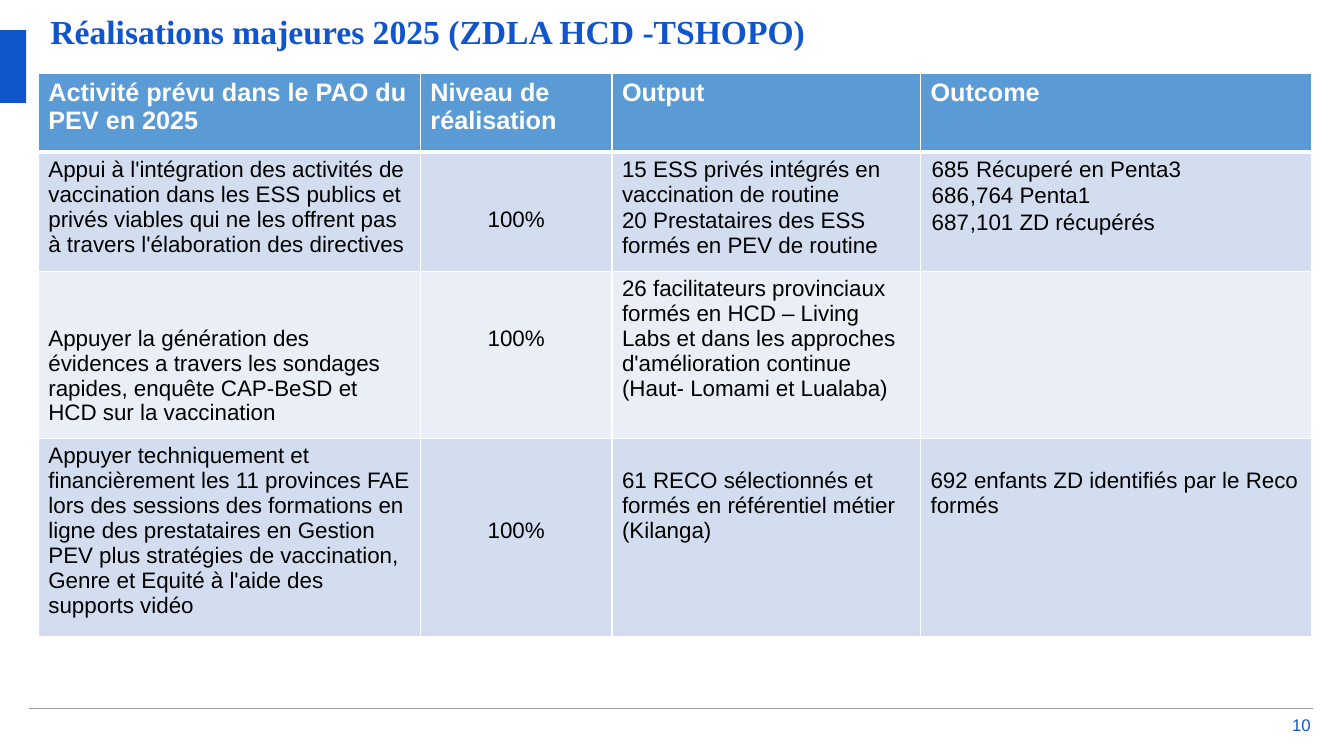
from lxml.etree import SubElement
from pptx import Presentation
from pptx.dml.color import RGBColor
from pptx.enum.shapes import MSO_CONNECTOR as Connector, MSO_SHAPE as Shape
from pptx.enum.text import MSO_ANCHOR as Anchor, MSO_AUTO_SIZE as AutoSize, PP_ALIGN as Align
from pptx.oxml.ns import qn
from pptx.util import Emu, Inches, Pt

TITLE = "Réalisations majeures 2025 (ZDLA HCD -TSHOPO)"
PAGE_NUMBER = "10"
HEADERS = ["Activité prévu dans le PAO du PEV en 2025", "Niveau de réalisation", "Output", "Outcome"]
ACTIVITIES = [
    [
        "Appui à l'intégration des activités de vaccination dans les ESS publics et privés viables "
        "qui ne les offrent pas à travers l'élaboration des directives",
        "100%",
        "15 ESS privés intégrés en vaccination de routine\n20 Prestataires des ESS formés en PEV de routine",
        " Récuperé en Penta3\n,764 Penta1\n,101 ZD récupérés",
    ],
    [
        "Appuyer la génération des évidences a travers les sondages rapides, "
        "enquête CAP-BeSD et HCD sur la vaccination",
        "100%",
        "26 facilitateurs provinciaux formés en HCD – Living Labs et dans les approches "
        "d'amélioration continue (Haut- Lomami et Lualaba)",
        "",
    ],
    [
        "Appuyer techniquement et financièrement les 11 provinces FAE lors des sessions des formations "
        "en ligne des prestataires en Gestion PEV plus stratégies de vaccination, Genre et Equité "
        "à l'aide des supports vidéo",
        "100%",
        "61 RECO sélectionnés et formés en référentiel métier (Kilanga)",
        "692 enfants ZD identifiés par le Reco formés",
    ],
]
LINES_ABOVE = [[0, 2, 0, 0], [2, 2, 0, 0], [0, 3, 1, 1]]
COLUMN_WIDTHS = [3.79, 1.9, 3.06, 3.88]
ROW_HEIGHTS = [0.78, 1.11, 1.59, 1.83]
LEVEL_COLUMN = 1
NUMBERED_CELL, FIRST_NUMBER = (1, 3), 685
LINE_HEIGHT = 0.247
CELL_MARGIN = 0.05

BLUE = RGBColor(0x11, 0x55, 0xCC)
GRAY = RGBColor(0x9E, 0x9E, 0x9E)
WHITE = RGBColor(0xFF, 0xFF, 0xFF)
BLACK = RGBColor(0, 0, 0)
HEADER_FILL = RGBColor(0x5B, 0x9B, 0xD5)
BAND_FILLS = [RGBColor(0xEA, 0xEF, 0xF7), RGBColor(0xD2, 0xDE, 0xEF)]


def format_text(text_frame, size, color, bold=False, font_name="Arial", align=Align.LEFT):
    for paragraph in text_frame.paragraphs:
        paragraph.alignment = align
        for run in paragraph.runs:
            run.font.name = font_name
            run.font.size = Pt(size)
            run.font.bold = bold
            run.font.color.rgb = color


def clear_margins(text_frame):
    text_frame.margin_left = text_frame.margin_right = 0
    text_frame.margin_top = text_frame.margin_bottom = 0
    text_frame.word_wrap = True


def place(shape, left, top, width, height):
    shape.left, shape.top = Inches(left), Inches(top)
    shape.width, shape.height = Inches(width), Inches(height)


def add_borders(cell, row):
    properties = cell._tc.get_or_add_tcPr()
    for side in ("lnL", "lnR", "lnT", "lnB"):
        thick = (row, side) in ((0, "lnB"), (1, "lnT"))
        line = SubElement(properties, qn(f"a:{side}"), w=str(Pt(3 if thick else 1)))
        SubElement(SubElement(line, qn("a:solidFill")), qn("a:srgbClr"), val=str(WHITE))


def number_paragraphs(text_frame):
    for paragraph in text_frame.paragraphs:
        properties = paragraph._p.get_or_add_pPr()
        properties.set("marL", str(Inches(0.39)))
        properties.set("indent", str(Inches(-0.38)))
        SubElement(properties, qn("a:buFont"), typeface="+mj-lt")
        SubElement(properties, qn("a:buAutoNum"), type="arabicPlain", startAt=str(FIRST_NUMBER))


def fill_cell(cell, row, column, text):
    add_borders(cell, row)
    cell.fill.solid()
    cell.fill.fore_color.rgb = BAND_FILLS[row % 2] if row else HEADER_FILL
    cell.vertical_anchor = Anchor.TOP
    lines_above = LINES_ABOVE[row - 1][column] if row else 0
    cell.margin_top = Inches(CELL_MARGIN + lines_above * LINE_HEIGHT)
    cell.margin_bottom = Inches(CELL_MARGIN)
    text_frame = cell.text_frame
    text_frame.text = text
    for paragraph in text_frame.paragraphs[1:]:
        paragraph.space_before = Pt(1.1)
    if (row, column) == NUMBERED_CELL:
        number_paragraphs(text_frame)
    if row:
        align = Align.CENTER if column == LEVEL_COLUMN else Align.LEFT
        format_text(text_frame, 16, BLACK, align=align)
    else:
        format_text(text_frame, 18, WHITE, bold=True)


def add_activity_table(slide):
    rows = [HEADERS] + ACTIVITIES
    frame = slide.shapes.add_table(
        len(rows), len(HEADERS), Inches(0.38), Inches(0.73),
        Inches(sum(COLUMN_WIDTHS)), Inches(sum(ROW_HEIGHTS)),
    )
    table = frame.table
    table.horz_banding = False
    for column, width in zip(table.columns, COLUMN_WIDTHS):
        column.width = Inches(width)
    for row, height in zip(table.rows, ROW_HEIGHTS):
        row.height = Inches(height)
    for row, texts in enumerate(rows):
        for column, text in enumerate(texts):
            fill_cell(table.cell(row, column), row, column, text)


def add_decoration(slide):
    accent = slide.shapes.add_shape(Shape.RECTANGLE, 0, Inches(0.3), Inches(0.26), Inches(0.72))
    accent.shadow.inherit = False
    accent.fill.solid()
    accent.fill.fore_color.rgb = BLUE
    accent.line.fill.background()

    rule = slide.shapes.add_connector(
        Connector.STRAIGHT, Inches(0.29), Inches(7.03), Inches(13.02), Inches(7.03)
    )
    rule.line.color.rgb = GRAY
    rule.line.width = Pt(1)
    SubElement(rule._element.spPr, qn("a:effectLst"))

    number = slide.shapes.add_textbox(Emu(0), Emu(0), Emu(0), Emu(0))
    place(number, 12.75, 7.1, 0.25, 0.18)
    clear_margins(number.text_frame)
    number.text_frame.vertical_anchor = Anchor.MIDDLE
    number.text_frame.text = PAGE_NUMBER
    format_text(number.text_frame, 12, BLUE, align=Align.RIGHT)


def add_title(slide):
    title = slide.shapes.title
    place(title, 0.5, 0.11, 12.33, 0.53)
    text_frame = title.text_frame
    clear_margins(text_frame)
    text_frame.auto_size = AutoSize.NONE
    text_frame.vertical_anchor = Anchor.TOP
    text_frame.text = TITLE
    format_text(text_frame, 24, BLUE, bold=True, font_name="Times New Roman")


def main():
    presentation = Presentation()
    presentation.slide_width = Inches(13.33)
    presentation.slide_height = Inches(7.5)
    slide = presentation.slides.add_slide(presentation.slide_layouts[5])
    add_decoration(slide)
    add_activity_table(slide)
    add_title(slide)
    presentation.save("out.pptx")


if __name__ == "__main__":
    main()
